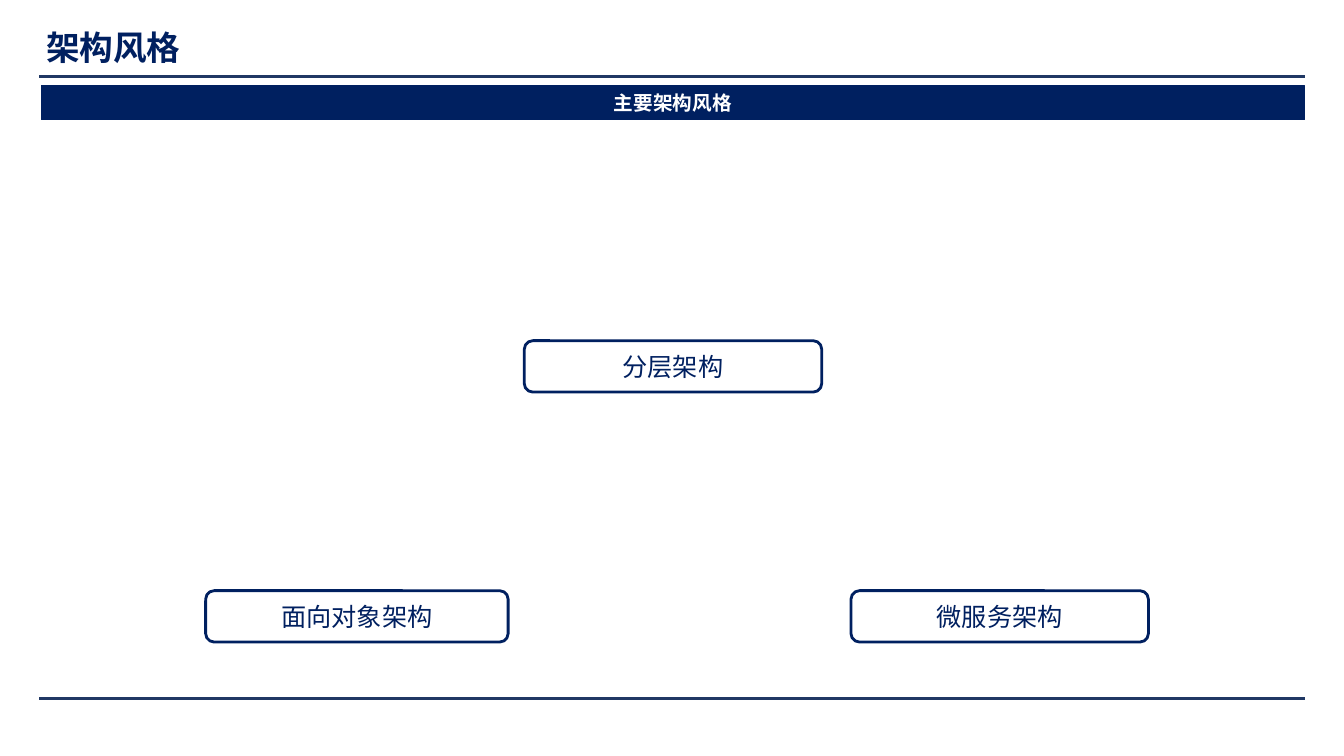
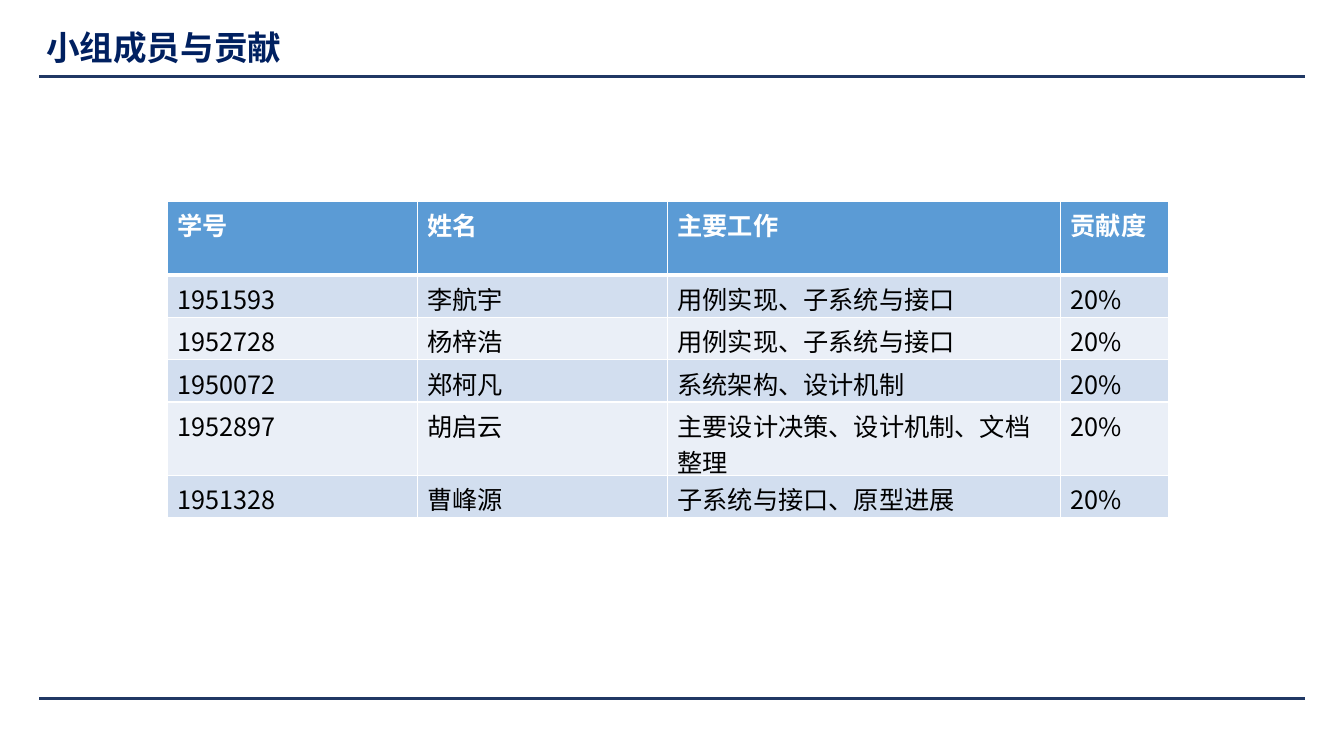
"""Build two slides: architecture styles, and team members with contributions."""
from pptx import Presentation
from pptx.dml.color import RGBColor
from pptx.enum.shapes import MSO_CONNECTOR, MSO_SHAPE
from pptx.enum.text import MSO_ANCHOR, MSO_AUTO_SIZE, PP_ALIGN
from pptx.oxml.ns import qn
from pptx.util import Emu, Pt
from lxml import etree

RECTANGLE = MSO_SHAPE.RECTANGLE
ROUNDED = MSO_SHAPE.ROUNDED_RECTANGLE
STRAIGHT = MSO_CONNECTOR.STRAIGHT
TOP, MIDDLE = MSO_ANCHOR.TOP, MSO_ANCHOR.MIDDLE
LEFT, CENTER = PP_ALIGN.LEFT, PP_ALIGN.CENTER
GROW = MSO_AUTO_SIZE.SHAPE_TO_FIT_TEXT

FONT = "Noto Sans CJK SC"
BAND_FONT = "Arial"
COLORS = {
    "navy": "002060",
    "rule": "203864",
    "white": "FFFFFF",
    "black": "000000",
    "header": "5B9BD5",
    "odd_row": "D2DEEF",
    "even_row": "EAEFF7",
}
RULE_LEFT, RULE_RIGHT = 39, 1294
RULE_TOPS = (76, 693)

STYLES = [
    ("面向对象架构", 204, 586, 300),
    ("分层架构", 520, 338, 295),
    ("微服务架构", 844, 586, 295),
]
COLUMN_WIDTHS = (248, 248, 390, 107)
ROW_HEIGHTS = (73, 42, 42, 42, 73, 42)
MEMBERS = [
    ("学号", "姓名", "主要工作", "贡献度"),
    ("1951593", "李航宇", "用例实现、子系统与接口", "20%"),
    ("1952728", "杨梓浩", "用例实现、子系统与接口", "20%"),
    ("1950072", "郑柯凡", "系统架构、设计机制", "20%"),
    ("1952897", "胡启云", "主要设计决策、设计机制、文档整理", "20%"),
    ("1951328", "曹峰源", "子系统与接口、原型进展", "20%"),
]


def px(value):
    return Emu(value * 9144)


def color(name):
    return RGBColor.from_string(COLORS[name])


def write(frame, text, size, tint, bold=False, align=LEFT, font=FONT):
    para = frame.paragraphs[0]
    para.alignment = align
    span = para.add_run()
    span.text = text
    span.font.size = Pt(size)
    span.font.bold = bold
    span.font.color.rgb = color(tint)
    span.font.name = font
    east_asian = etree.SubElement(span.font._element, qn("a:ea"))
    east_asian.set("typeface", FONT)


def add_rule(page, top):
    rule = page.shapes.add_connector(
        STRAIGHT, px(RULE_LEFT), px(top), px(RULE_RIGHT), px(top))
    rule.line.color.rgb = color("rule")
    rule.line.width = Pt(2.25)
    etree.SubElement(rule._element.spPr, qn("a:effectLst"))


def add_page(deck, title):
    page = deck.slides.add_slide(deck.slide_layouts[6])
    for top in RULE_TOPS:
        add_rule(page, top)
    box = page.shapes.add_textbox(px(36), px(22), px(1027), px(50))
    box.text_frame.word_wrap = True
    box.text_frame.auto_size = GROW
    write(box.text_frame, title, 24, "navy", bold=True)
    return page


def add_box(page, kind, left, top, width, height, fill, line_width):
    box = page.shapes.add_shape(kind, px(left), px(top), px(width), px(height))
    box.shadow.inherit = False
    box.fill.solid()
    box.fill.fore_color.rgb = color(fill)
    box.line.color.rgb = color("navy")
    box.line.width = Pt(line_width)
    box.text_frame.word_wrap = True
    return box


def add_band(page, text):
    left = 41
    band = add_box(page, RECTANGLE, left, 85, RULE_RIGHT - left, 34, "navy", 0.75)
    band.text_frame.vertical_anchor = TOP
    band.text_frame.auto_size = GROW
    write(band.text_frame, text, 14, "white", True, CENTER, BAND_FONT)


def add_style(page, text, left, top, width):
    box = add_box(page, ROUNDED, left, top, width, 51, "white", 2)
    box.text_frame.vertical_anchor = MIDDLE
    write(box.text_frame, text, 18, "navy", align=CENTER)


def add_border(cell, side, width):
    border = etree.SubElement(cell._tc.get_or_add_tcPr(), qn(f"a:ln{side}"))
    border.set("w", str(Pt(width)))
    fill = etree.SubElement(border, qn("a:solidFill"))
    etree.SubElement(fill, qn("a:srgbClr")).set("val", COLORS["white"])


def fill_cell(cell, text, row):
    widths = {"L": 1, "R": 1, "T": 3 if row == 1 else 1, "B": 3 if row == 0 else 1}
    for side, width in widths.items():
        add_border(cell, side, width)
    header = row == 0
    band = "odd_row" if row % 2 else "even_row"
    cell.fill.solid()
    cell.fill.fore_color.rgb = color("header" if header else band)
    write(cell.text_frame, text, 18, "white" if header else "black", bold=header)


def add_members(page):
    frame = page.shapes.add_table(
        len(MEMBERS), len(COLUMN_WIDTHS), px(166), px(200),
        px(sum(COLUMN_WIDTHS)), px(sum(ROW_HEIGHTS)))
    table = frame.table
    for column, width in zip(table.columns, COLUMN_WIDTHS):
        column.width = px(width)
    for row, (height, values) in enumerate(zip(ROW_HEIGHTS, MEMBERS)):
        table.rows[row].height = px(height)
        for column, text in enumerate(values):
            fill_cell(table.cell(row, column), text, row)


def main():
    deck = Presentation()
    deck.slide_width, deck.slide_height = px(1333), px(750)
    page = add_page(deck, "架构风格")
    add_band(page, "主要架构风格")
    for style in STYLES:
        add_style(page, *style)
    add_members(add_page(deck, "小组成员与贡献"))
    deck.save("out.pptx")


if __name__ == "__main__":
    main()
